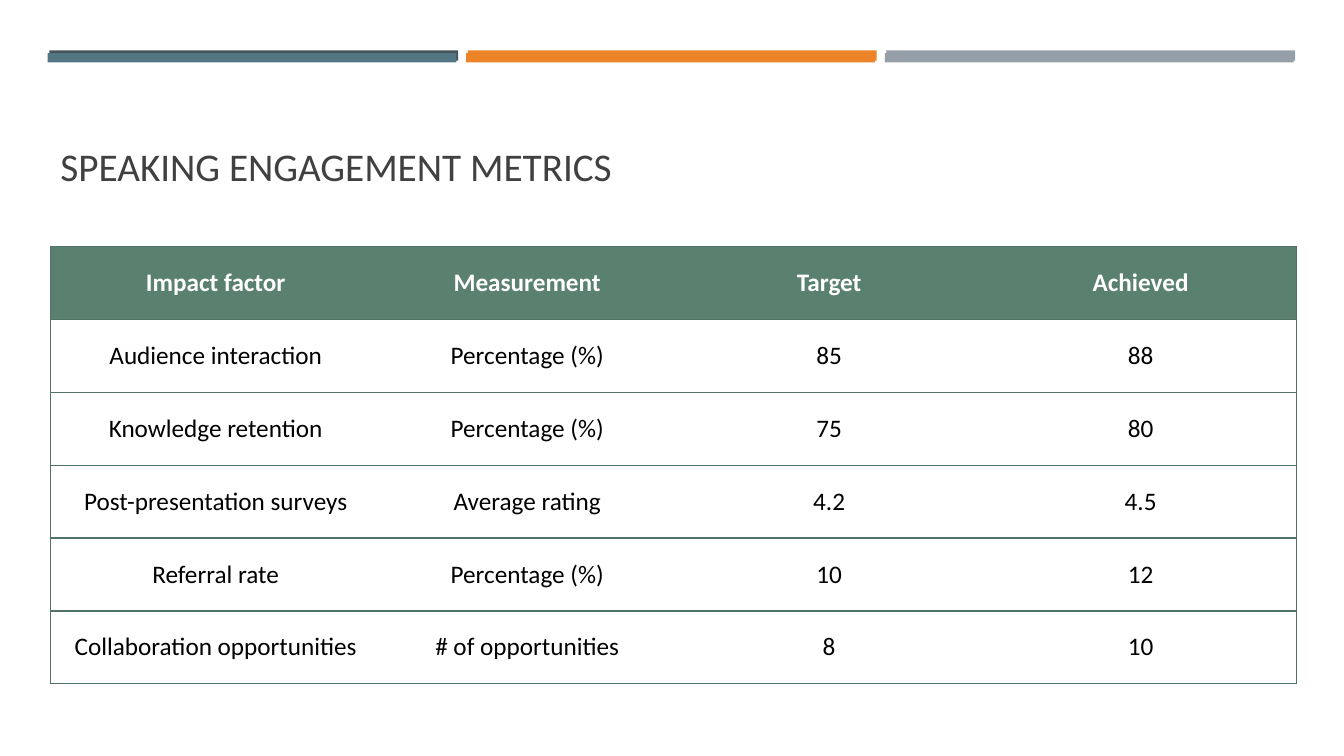
import pptx
import pptx.util
import pptx.dml.color
import pptx.enum.shapes
import pptx.enum.text
import pptx.oxml
import pptx.oxml.ns

Pt = pptx.util.Pt
RGBColor = pptx.dml.color.RGBColor

WHITE = RGBColor(0xFF, 0xFF, 0xFF)
BLACK = RGBColor(0x00, 0x00, 0x00)
CHARCOAL = RGBColor(0x40, 0x40, 0x40)
DARK_SLATE = RGBColor(0x46, 0x53, 0x59)
TEAL = RGBColor(0x53, 0x76, 0x85)
ORANGE = RGBColor(0xED, 0x84, 0x28)
GREY = RGBColor(0x96, 0x9F, 0xA7)
HEADER_GREEN = RGBColor(0x5A, 0x80, 0x70)
RULE_GREEN = RGBColor(0x51, 0x73, 0x66)

METRICS = [
    ("Impact factor", "Measurement", "Target", "Achieved"),
    ("Audience interaction", "Percentage (%)", "85", "88"),
    ("Knowledge retention", "Percentage (%)", "75", "80"),
    ("Post-presentation surveys", "Average rating", "4.2", "4.5"),
    ("Referral rate", "Percentage (%)", "10", "12"),
    ("Collaboration opportunities", "# of opportunities", "8", "10"),
]
COLUMN_WIDTHS = [236.2, 208.8, 222.5, 222.5]
ROW_HEIGHT = 52.1


def add_text(frame, text, size, color, bold=False):
    run = frame.paragraphs[0].add_run()
    run.text = text
    run.font.name = "Calibri"
    run.font.size = Pt(size)
    run.font.bold = bold
    run.font.color.rgb = color


def add_border(cell, side, color):
    if color is None:
        width, paint = 0, "<a:noFill/>"
    else:
        width, paint = Pt(1), f'<a:solidFill><a:srgbClr val="{color}"/></a:solidFill>'
    namespace = pptx.oxml.ns.nsdecls("a")
    border = pptx.oxml.parse_xml(f'<a:ln{side} {namespace} w="{width}">{paint}</a:ln{side}>')
    cell._tc.get_or_add_tcPr().append(border)


deck = pptx.Presentation()
deck.slide_width = Pt(960)
deck.slide_height = Pt(540)
slide = deck.slides.add_slide(deck.slide_layouts[5])

bar_rows = [
    (35.2, 36, 7.4, (DARK_SLATE, ORANGE, GREY)),
    (34, 38, 6.6, (TEAL, ORANGE, GREY)),
]
for left, top, height, colors in bar_rows:
    for position, color in enumerate(colors):
        bar = slide.shapes.add_shape(
            pptx.enum.shapes.MSO_SHAPE.RECTANGLE,
            Pt(left + position * 299), Pt(top), Pt(292), Pt(height),
        )
        bar.shadow.inherit = False
        bar.fill.solid()
        bar.fill.fore_color.rgb = color
        bar.line.fill.background()

heading = slide.shapes.title
heading.left, heading.top, heading.width, heading.height = Pt(36), Pt(55.5), Pt(888), Pt(83.5)
heading.text_frame.word_wrap = True
heading.text_frame.auto_size = pptx.enum.text.MSO_AUTO_SIZE.NONE
heading.text_frame.vertical_anchor = pptx.enum.text.MSO_ANCHOR.BOTTOM
heading.text_frame.paragraphs[0].alignment = pptx.enum.text.PP_ALIGN.LEFT
add_text(heading.text_frame, "SPEAKING ENGAGEMENT METRICS", 28, CHARCOAL)

metrics_table = slide.shapes.add_table(
    len(METRICS), len(COLUMN_WIDTHS),
    Pt(36), Pt(176), Pt(sum(COLUMN_WIDTHS)), Pt(ROW_HEIGHT * len(METRICS)),
).table
metrics_table.horz_banding = False
for column, width in zip(metrics_table.columns, COLUMN_WIDTHS):
    column.width = Pt(width)

for row_index, entries in enumerate(METRICS):
    metrics_table.rows[row_index].height = Pt(ROW_HEIGHT)
    is_header = row_index == 0
    for column_index, entry in enumerate(entries):
        cell = metrics_table.cell(row_index, column_index)
        add_border(cell, "L", RULE_GREEN if column_index == 0 else None)
        add_border(cell, "R", RULE_GREEN if column_index == len(entries) - 1 else None)
        add_border(cell, "T", RULE_GREEN)
        add_border(cell, "B", RULE_GREEN)
        cell.fill.solid()
        cell.fill.fore_color.rgb = HEADER_GREEN if is_header else WHITE
        cell.vertical_anchor = pptx.enum.text.MSO_ANCHOR.MIDDLE
        cell.text_frame.paragraphs[0].alignment = pptx.enum.text.PP_ALIGN.CENTER
        add_text(cell.text_frame, entry, 18, WHITE if is_header else BLACK, is_header)

deck.save("out.pptx")
